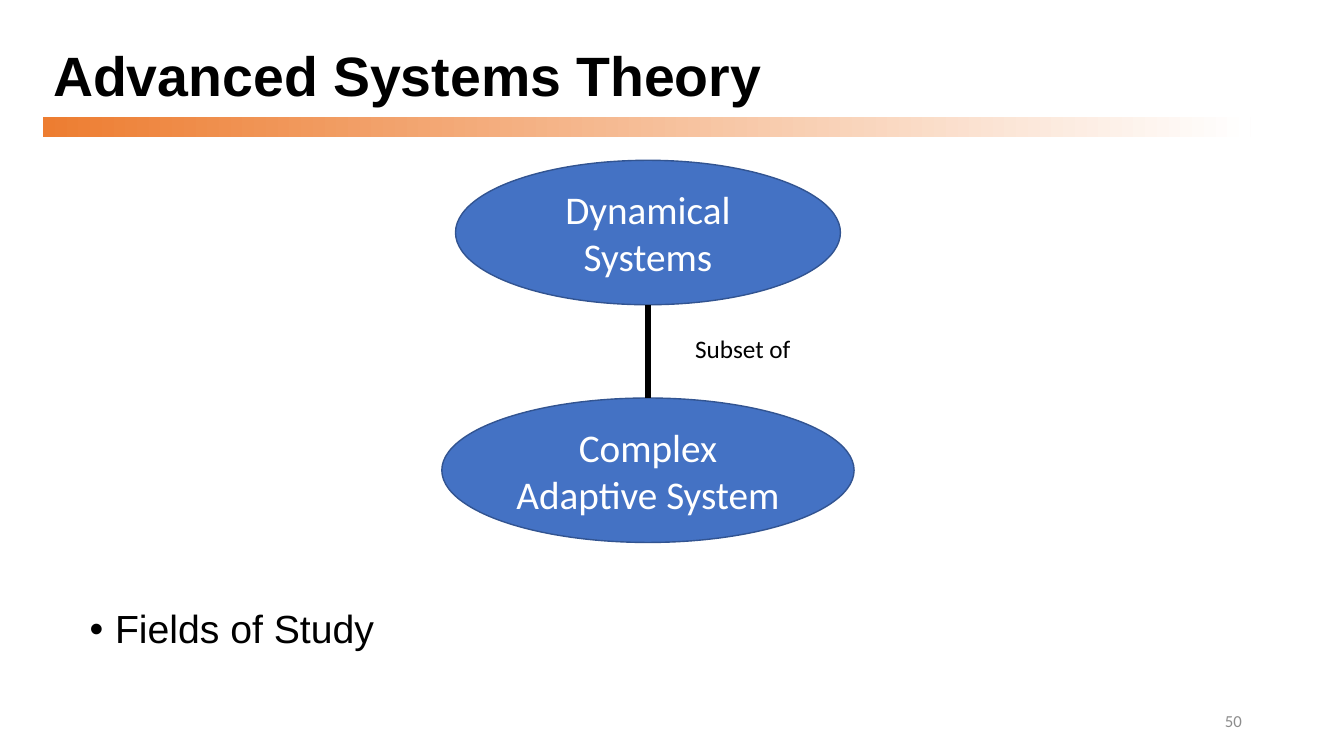
from dataclasses import dataclass

import lxml.etree
import pptx
import pptx.dml.color
import pptx.enum.shapes
import pptx.enum.text
import pptx.oxml.ns
import pptx.util
from pptx.util import Cm

ALIGN = pptx.enum.text.PP_ALIGN
ANCHOR = pptx.enum.text.MSO_ANCHOR


@dataclass(frozen=True)
class Theme:
    heading_font: str = "Arial"
    label_font: str = "Calibri"
    ink: str = "000000"
    paper: str = "FFFFFF"
    accent: str = "ED7D31"
    field_fill: str = "4472C4"
    field_line: str = "325491"
    muted: str = "8C8C8C"
    title_size: float = 39.6
    body_size: float = 28
    label_size: float = 18
    number_size: float = 12


@dataclass(frozen=True)
class Field:
    name: str
    top: float
    width: float


THEME = Theme()
MARGIN, CONTENT_WIDTH = 1.09, 30.43
FIELD_CENTER, FIELD_HEIGHT = 16.33, 3.64
FIELDS = (
    Field("Dynamical Systems", 4.04, 9.7),
    Field("Complex Adaptive System", 10.03, 10.39),
)


def rgb(value: str) -> pptx.dml.color.RGBColor:
    return pptx.dml.color.RGBColor.from_string(value)


def add_bullet(paragraph, indent: float) -> None:
    properties = paragraph._p.get_or_add_pPr()
    properties.set("marL", str(Cm(indent)))
    properties.set("indent", str(-Cm(indent)))
    for tag, key, value in (("a:buFont", "typeface", "Arial"), ("a:buChar", "char", "•")):
        lxml.etree.SubElement(properties, pptx.oxml.ns.qn(tag)).set(key, value)


def write(shape, text: str, *, size: float, font: str = THEME.label_font,
          color: str = THEME.ink, bold: bool = False, align=ALIGN.LEFT,
          anchor=ANCHOR.TOP, wrap: bool = True, bullet: bool = False,
          line_spacing: float = 1.0) -> None:
    frame = shape.text_frame
    frame.word_wrap = wrap
    frame.vertical_anchor = anchor
    paragraph = frame.paragraphs[0]
    paragraph.text = text
    paragraph.alignment = align
    paragraph.line_spacing = line_spacing
    if bullet:
        add_bullet(paragraph, 0.64)
    style = paragraph.runs[0].font
    style.name, style.size, style.bold = font, pptx.util.Pt(size), bold
    style.color.rgb = rgb(color)


def add_box(slide, left: float, top: float, width: float, height: float):
    return slide.shapes.add_textbox(Cm(left), Cm(top), Cm(width), Cm(height))


def add_title_bar(slide) -> None:
    bar = slide.shapes.add_shape(
        pptx.enum.shapes.MSO_SHAPE.RECTANGLE,
        Cm(MARGIN), Cm(2.95), Cm(CONTENT_WIDTH), Cm(0.51))
    bar.shadow.inherit = False
    bar.line.fill.background()
    bar.fill.gradient()
    bar.fill.gradient_angle = 0
    for stop, position, color in zip(
            bar.fill.gradient_stops, (0, 1), (THEME.accent, THEME.paper)):
        stop.position = position
        stop.color.rgb = rgb(color)


def add_field(slide, field: Field):
    ellipse = slide.shapes.add_shape(
        pptx.enum.shapes.MSO_SHAPE.OVAL,
        Cm(FIELD_CENTER - field.width / 2), Cm(field.top),
        Cm(field.width), Cm(FIELD_HEIGHT))
    ellipse.shadow.inherit = False
    ellipse.fill.solid()
    ellipse.fill.fore_color.rgb = rgb(THEME.field_fill)
    ellipse.line.color.rgb = rgb(THEME.field_line)
    ellipse.line.width = pptx.util.Pt(1)
    write(ellipse, field.name, size=THEME.body_size, color=THEME.paper,
          align=ALIGN.CENTER, anchor=ANCHOR.MIDDLE)
    return ellipse


def add_subset_link(slide, parent: Field, child: Field, child_ellipse) -> None:
    link = slide.shapes.add_connector(
        pptx.enum.shapes.MSO_CONNECTOR.STRAIGHT,
        Cm(FIELD_CENTER), Cm(parent.top + FIELD_HEIGHT),
        Cm(FIELD_CENTER), Cm(child.top))
    link.end_connect(child_ellipse, 0)
    link.line.color.rgb = rgb(THEME.ink)
    link.line.width = pptx.util.Pt(4.5)
    lxml.etree.SubElement(link._element.spPr, pptx.oxml.ns.qn("a:effectLst"))


def main() -> None:
    deck = pptx.Presentation()
    deck.slide_width, deck.slide_height = Cm(33.87), Cm(19.05)
    slide = deck.slides.add_slide(deck.slide_layouts[6])

    # Title and its bar
    add_title_bar(slide)
    title = add_box(slide, MARGIN, 1.02, CONTENT_WIDTH, 1.93)
    write(title, "Advanced Systems Theory", size=THEME.title_size,
          font=THEME.heading_font, bold=True, anchor=ANCHOR.MIDDLE, line_spacing=0.9)

    # Bullet and slide number
    topic = add_box(slide, 2.01, 15.24, 29.51, 1.93)
    write(topic, "Fields of Study", size=THEME.body_size,
          font=THEME.heading_font, bullet=True, line_spacing=0.9)
    number = add_box(slide, 23.93, 17.65, 7.62, 1.02)
    write(number, "50", size=THEME.number_size, color=THEME.muted,
          align=ALIGN.RIGHT, anchor=ANCHOR.MIDDLE)

    # Fields and the relation between them
    ellipses = [add_field(slide, field) for field in FIELDS]
    add_subset_link(slide, *FIELDS, ellipses[1])
    relation = add_box(slide, 17.27, 8.28, 2.95, 1.02)
    write(relation, "Subset of", size=THEME.label_size, wrap=False)

    deck.save("out.pptx")


if __name__ == "__main__":
    main()
